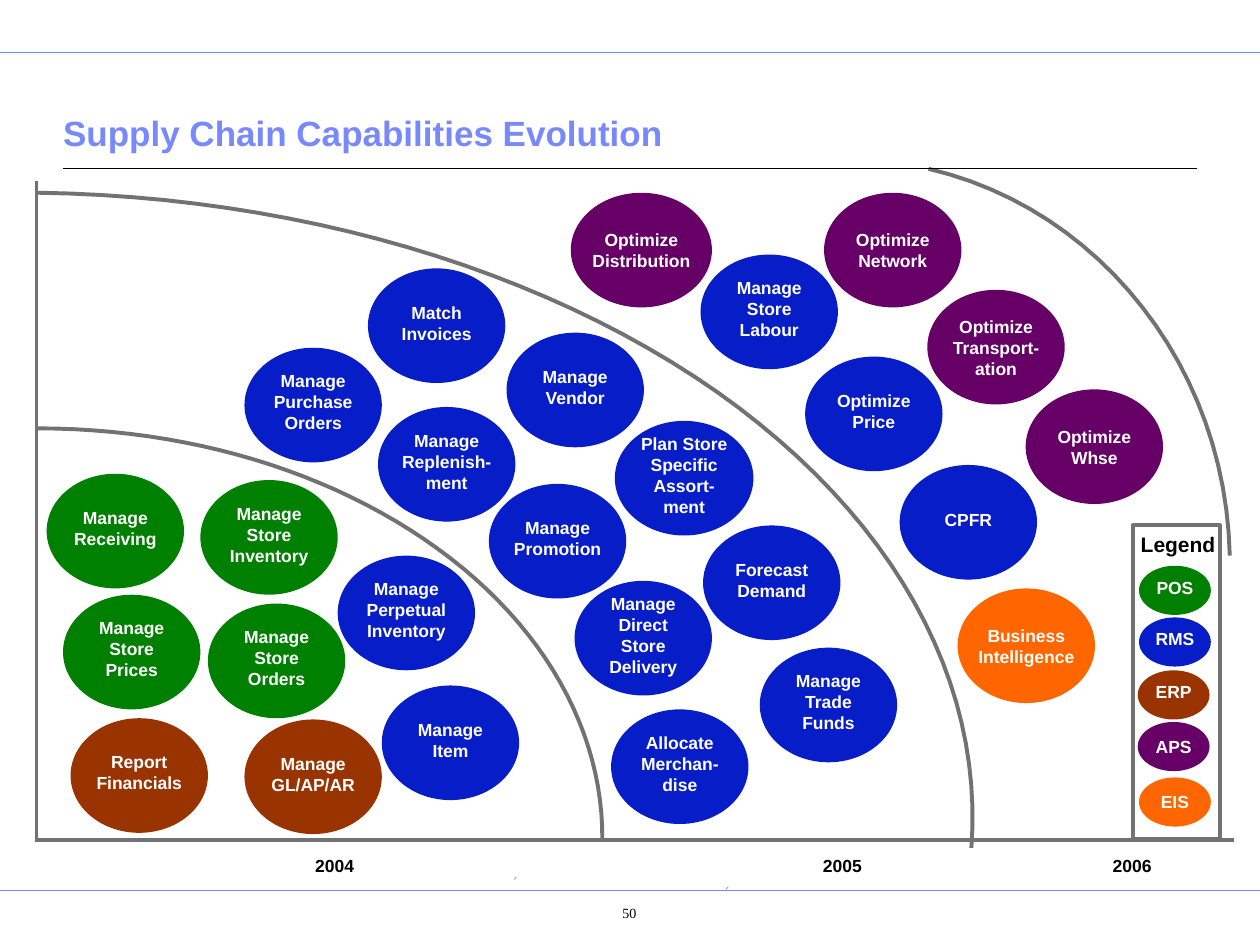
from lxml.etree import SubElement
from pptx import Presentation
from pptx.dml.color import RGBColor
from pptx.enum.shapes import MSO_CONNECTOR, MSO_SHAPE
from pptx.enum.text import MSO_ANCHOR, MSO_AUTO_SIZE, PP_ALIGN
from pptx.oxml.ns import qn
from pptx.util import Inches, Pt

GREEN = RGBColor(0x00, 0x80, 0x00)
BLUE = RGBColor(0x06, 0x1D, 0xC8)
BROWN = RGBColor(0x99, 0x33, 0x00)
PURPLE = RGBColor(0x66, 0x00, 0x66)
ORANGE = RGBColor(0xFF, 0x66, 0x00)
PERIWINKLE = RGBColor(0x78, 0x89, 0xFB)
GREY = RGBColor(0x72, 0x72, 0x72)
BLACK = RGBColor(0, 0, 0)
WHITE = RGBColor(0xFF, 0xFF, 0xFF)

BUBBLE_W, BUBBLE_H = 1.09, 0.91
CURVE_STEPS = 24

CAPABILITIES = [
    (GREEN, [
        (1.59, 3.81, "Manage\nStore\nInventory"),
        (0.5, 4.72, "Manage\nStore\nPrices"),
        (1.65, 4.79, "Manage Store Orders"),
        (0.37, 3.76, "Manage\nReceiving"),
    ]),
    (BLUE, [
        (2.92, 2.13, "Match\nInvoices"),
        (3, 3.23, "Manage Replenish-ment"),
        (3.03, 5.44, "Manage Item"),
        (3.88, 3.84, "Manage\nPromotion"),
        (4.56, 4.61, "Manage Direct Store Delivery"),
        (2.68, 4.41, "Manage Perpetual Inventory"),
        (6.39, 2.83, "Optimize Price"),
        (5.58, 4.17, "Forecast Demand"),
        (7.14, 3.69, "CPFR"),
        (1.94, 2.76, "Manage Purchase Orders"),
        (4.02, 2.64, "Manage Vendor"),
        (4.88, 3.34, "Plan Store Specific Assort- ment"),
        (5.56, 2.02, "Manage Store Labour"),
        (4.85, 5.63, "Allocate Merchan-dise"),
        (6.03, 5.14, "Manage\nTrade\nFunds"),
    ]),
    (BROWN, [
        (0.56, 5.7, "Report Financials"),
        (1.94, 5.71, "Manage GL/AP/AR"),
    ]),
    (PURPLE, [
        (6.54, 1.53, "Optimize Network"),
        (7.36, 2.3, "Optimize Transport-ation"),
        (8.14, 3.09, "Optimize Whse"),
        (4.53, 1.53, "Optimize Distribution"),
    ]),
    (ORANGE, [(7.6, 4.67, "Business Intelligence")]),
]
WIDE_BUBBLES = {"Optimize Distribution": 1.12, "Plan Store Specific Assort- ment": 1.1}

LEGEND = [
    (9.04, 4.49, "POS", GREEN),
    (9.04, 4.9, "RMS", BLUE),
    (9.03, 5.32, "ERP", BROWN),
    (9.03, 5.73, "APS", PURPLE),
    (9.04, 6.17, "EIS", ORANGE),
]

ARCS = [
    [(7.37, 1.34), (8.74, 1.66), (9.73, 2.93), (9.76, 4.41)],
    [(0.29, 3.4), (1.49, 3.4), (2.63, 3.74), (3.48, 4.36),
     (4.32, 4.97), (4.79, 5.81), (4.78, 6.67)],
    [(0.3, 1.53), (2.35, 1.56), (4.29, 2.13), (5.69, 3.11),
     (7.08, 4.09), (7.81, 5.39), (7.71, 6.73)],
]

LINES = [
    (0, 0.42, 10, 0.42, PERIWINKLE, 0.5),
    (0, 7.07, 10, 7.07, PERIWINKLE, 0.5),
    (0.5, 1.34, 9.5, 1.34, BLACK, 0.75),
    (0.29, 6.67, 9.79, 6.67, GREY, 2.25),
    (0.29, 1.44, 0.29, 6.68, GREY, 2.25),
    (4.08, 6.98, 4.1, 6.96, GREY, 0.25),
    (5.76, 7.06, 5.78, 7.04, GREY, 0.25),
]


def box(x, y, w, h):
    return Inches(x), Inches(y), Inches(w), Inches(h)


def set_text(tf, text, size, color, margins, align=PP_ALIGN.CENTER, bold=True, font="Arial"):
    tf.text = text
    tf.margin_left, tf.margin_top, tf.margin_right, tf.margin_bottom = map(Inches, margins)
    for p in tf.paragraphs:
        p.alignment = align
        for r in p.runs:
            r.font.name = font
            r.font.size = Pt(size)
            r.font.bold = bold
            r.font.color.rgb = color


def add_line(shapes, x1, y1, x2, y2, color, width):
    line = shapes.add_connector(
        MSO_CONNECTOR.STRAIGHT, Inches(x1), Inches(y1), Inches(x2), Inches(y2))
    line.line.color.rgb = color
    line.line.width = Pt(width)
    SubElement(line._element.spPr, qn("a:effectLst"))


def outline_only(sp):
    sp.shadow.inherit = False
    sp.fill.background()
    sp.line.color.rgb = GREY
    sp.line.width = Pt(2.25)


def bezier(p0, p1, p2, p3, t):
    u = 1 - t
    return tuple(
        Inches(u**3 * a + 3 * u**2 * t * b + 3 * u * t**2 * c + t**3 * d)
        for a, b, c, d in zip(p0, p1, p2, p3))


def add_arc(shapes, controls):
    points = [
        bezier(*controls[i:i + 4], step / CURVE_STEPS)
        for i in range(0, len(controls) - 1, 3)
        for step in range(1, CURVE_STEPS + 1)
    ]
    x, y = controls[0]
    builder = shapes.build_freeform(Inches(x), Inches(y))
    builder.add_line_segments(points, close=False)
    outline_only(builder.convert_to_shape())


def add_bubble(shapes, x, y, w, h, text, color):
    sp = shapes.add_shape(MSO_SHAPE.OVAL, *box(x, y, w, h))
    sp.shadow.inherit = False
    sp.fill.solid()
    sp.fill.fore_color.rgb = color
    sp.line.fill.background()
    tf = sp.text_frame
    tf.word_wrap = True
    tf.vertical_anchor = MSO_ANCHOR.MIDDLE
    bottom = 0 if color in (PURPLE, ORANGE) else 0.05
    set_text(tf, text, 10, WHITE, (0, 0, 0, bottom))


def add_label(shapes, x, y, w, h, text, size, wrap=True):
    tf = shapes.add_textbox(*box(x, y, w, h)).text_frame
    tf.word_wrap = wrap
    tf.auto_size = MSO_AUTO_SIZE.SHAPE_TO_FIT_TEXT
    set_text(tf, text, size, BLACK, (0.1, 0.05, 0.1, 0.05))


def add_legend(s):
    shapes = s.shapes.add_group_shape().shapes
    outline_only(shapes.add_shape(MSO_SHAPE.RECTANGLE, *box(8.99, 4.17, 0.69, 2.49)))
    add_label(shapes, 8.93, 4.17, 0.84, 0.3, "Legend", 12)
    for x, y, text, color in LEGEND:
        add_bubble(shapes, x, y, 0.57, 0.39, text, color)


def add_title(s, text):
    title = s.shapes.title
    title.left, title.top, title.width, title.height = box(0.5, 0.64, 9, 0.63)
    tf = title.text_frame
    tf.vertical_anchor = MSO_ANCHOR.BOTTOM
    set_text(tf, text, 20, PERIWINKLE, (0, 0, 0, 0.05), PP_ALIGN.LEFT)


def add_page_number(s, text):
    tf = s.shapes.add_textbox(*box(4.27, 7.11, 1.15, 0.35)).text_frame
    tf.word_wrap = True
    set_text(tf, text, 8, BLACK, (0.4, 0.07, 0.1, 0.05), bold=False, font="Times New Roman")


def main():
    prs = Presentation()
    prs.slide_width, prs.slide_height = Inches(10), Inches(7.5)
    s = prs.slides.add_slide(prs.slide_layouts[5])
    add_title(s, "Supply Chain Capabilities Evolution")
    for controls in ARCS:
        add_arc(s.shapes, controls)
    for line in LINES:
        add_line(s.shapes, *line)
    for color, bubbles in CAPABILITIES:
        for x, y, text in bubbles:
            width = WIDE_BUBBLES.get(text, BUBBLE_W)
            add_bubble(s.shapes, x, y, width, BUBBLE_H, text, color)
    for x, year in ((2.4, "2004"), (6.43, "2005"), (8.73, "2006")):
        add_label(s.shapes, x, 6.74, 0.51, 0.27, year, 10, wrap=False)
    add_legend(s)
    add_page_number(s, "50")
    prs.save("out.pptx")


if __name__ == "__main__":
    main()
